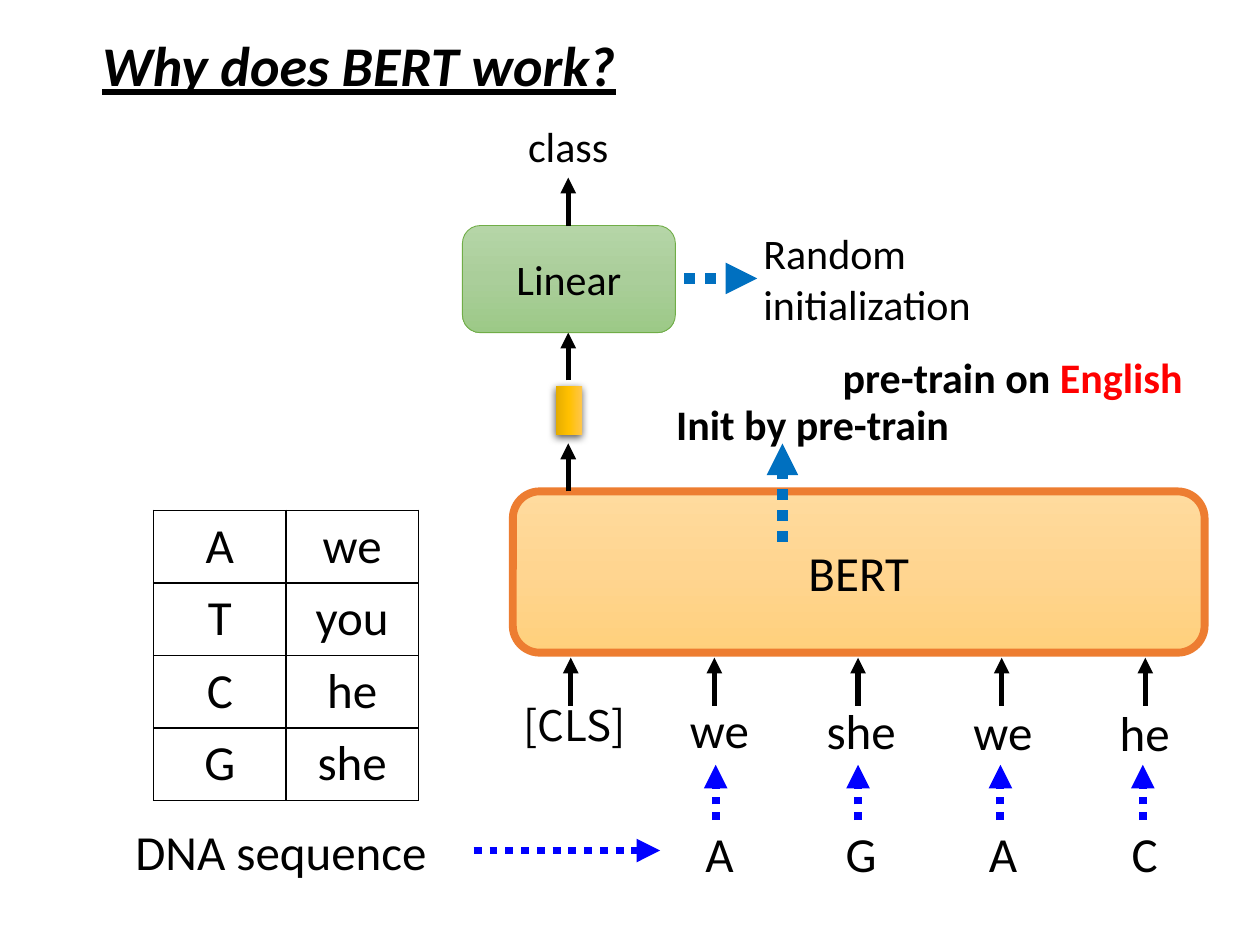
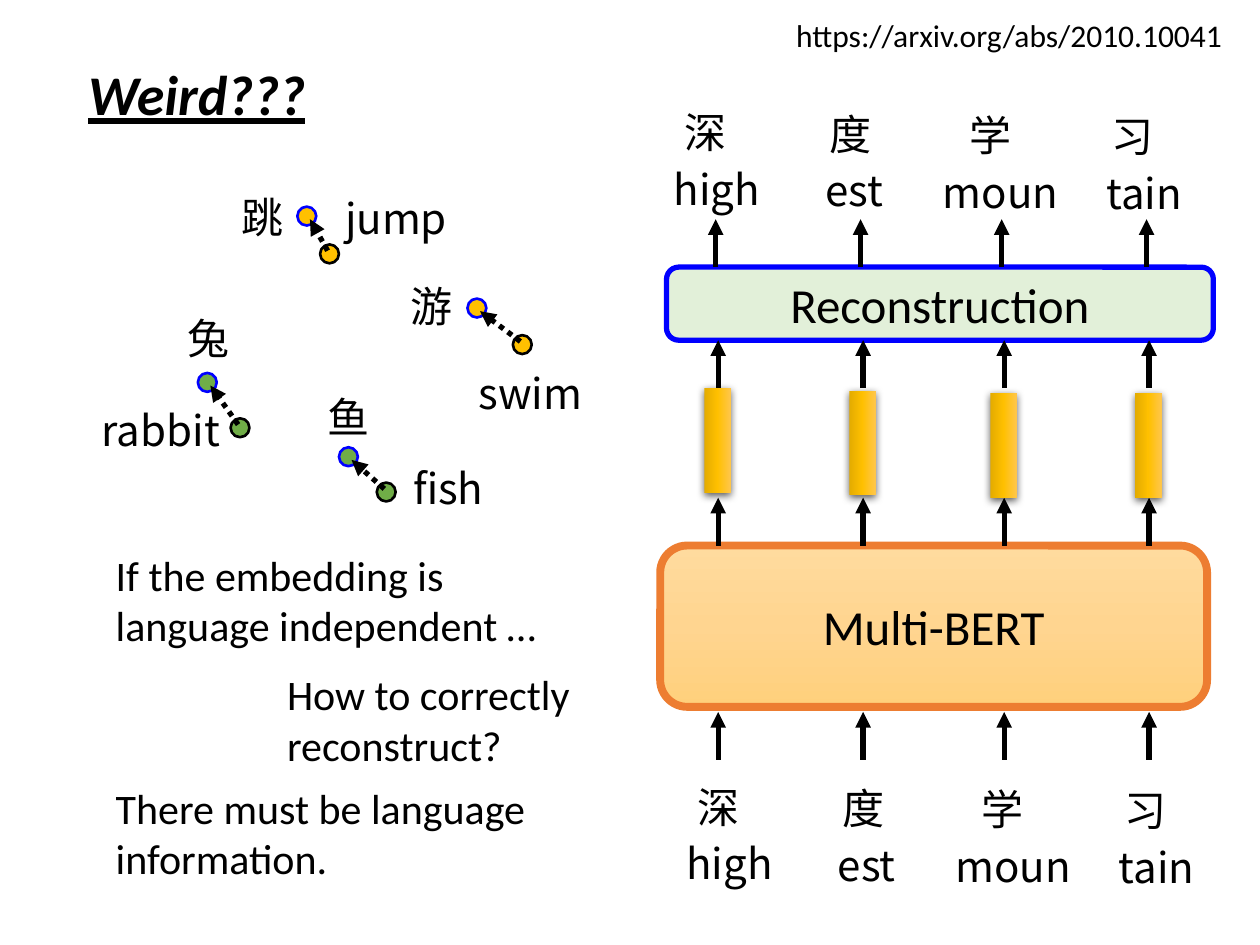
from copy import deepcopy

from lxml.etree import SubElement
from pptx import Presentation
from pptx.dml.color import RGBColor
from pptx.enum.dml import MSO_LINE
from pptx.enum.shapes import MSO_CONNECTOR, MSO_SHAPE
from pptx.enum.text import MSO_ANCHOR, MSO_AUTO_SIZE, PP_ALIGN
from pptx.oxml.ns import qn
from pptx.util import Inches, Pt

BLACK = RGBColor(0x00, 0x00, 0x00)
RED = RGBColor(0xFF, 0x00, 0x00)
BLUE = RGBColor(0x00, 0x00, 0xFF)
SKY = RGBColor(0x00, 0x70, 0xC0)
GREEN = RGBColor(0x70, 0xAD, 0x47)
PALE = RGBColor(0xE2, 0xF0, 0xD9)
GOLD = RGBColor(0xFF, 0xC0, 0x00)
ORANGE = RGBColor(0xED, 0x7D, 0x31)
PEACH = [RGBColor.from_string(c) for c in ("FFDB9E", "FFD590", "FFD07C")]
LEAF = [RGBColor.from_string(c) for c in ("B5D5A7", "AACE9A", "9CC987")]
AMBER = [RGBColor.from_string(c) for c in ("E3AB00", "FFC000", "FFC64B")]

SANS = "Calibri"
CJK = "Noto Sans CJK TC"
STEPS = (0, 1.15, 2.27, 3.42)
CODE = (("A", "we"), ("T", "you"), ("C", "he"), ("G", "she"))
PARTS = (
    ("深", 0, "high", 0.09),
    ("度", 1.15, "est", 1.18),
    ("学", 2.26, "moun", 2.34),
    ("习", 3.39, "tain", 3.48),
)
WORDS = (
    ("跳", (1.12, 0.07), "jump", (1.94, 0.08), (1.66, 0.24), (1.84, 0.54), GOLD),
    ("游", (2.46, 0.78), "swim", (3.0, 1.47), (3.01, 0.97), (3.37, 1.26), GOLD),
    ("兔", (0.69, 1.03), "rabbit", (0.01, 1.76), (0.87, 1.56), (1.13, 1.92), GREEN),
    ("鱼", (1.8, 1.66), "fish", (2.48, 2.22), (1.99, 2.15), (2.29, 2.43), GREEN),
)


def write(frame, text, size=24, font=SANS, color=BLACK, bold=False,
          slant=False, under=False, align=PP_ALIGN.LEFT):
    """Append a formatted run to the first paragraph of a frame."""
    para = frame.paragraphs[0]
    para.alignment = align
    run = para.add_run()
    run.text = text
    face = run.font
    face.size, face.name, face.bold = Pt(size), font, bold
    face.italic, face.underline = slant, under
    face.color.rgb = color
    SubElement(run.font._element, qn("a:ea"), typeface=font)


def label(slide, text, x, y, width, height=0.5, **style):
    """Add a wrapped text box and return its frame."""
    box = slide.shapes.add_textbox(Inches(x), Inches(y), Inches(width), Inches(height))
    box.text_frame.word_wrap = True
    write(box.text_frame, text, **style)
    return box.text_frame


def center(slide, text, x, y, width=1.3, **style):
    """Add a label centred on x."""
    label(slide, text, x - width / 2, y, width, align=PP_ALIGN.CENTER, **style)


def head(deck, text, x, y, width):
    """Add a title-only slide with its title in place."""
    slide = deck.slides.add_slide(deck.slide_layouts[5])
    title = slide.shapes.title
    title.left, title.top = Inches(x), Inches(y)
    title.width, title.height = Inches(width), Inches(0.64)
    frame = title.text_frame
    frame.word_wrap = True
    frame.auto_size = MSO_AUTO_SIZE.NONE
    frame.vertical_anchor = MSO_ANCHOR.TOP
    write(frame, text, size=32, bold=True, slant=True, under=True)
    return slide


def blend(shape, colors, angle):
    """Fill a shape with a three-stop gradient."""
    shape.fill.gradient()
    shape.fill.gradient_angle = angle
    stops = shape.element.spPr.find(".//" + qn("a:gsLst"))
    stops.append(deepcopy(stops[0]))
    for stop, color, place in zip(shape.fill.gradient_stops, colors, (0, 0.5, 1)):
        stop.color.rgb = color
        stop.position = place


def block(slide, kind, x, y, width, height, fill, line=None, weight=1.5, angle=270):
    """Add a preset shape with a solid or gradient fill."""
    shape = slide.shapes.add_shape(
        kind, Inches(x), Inches(y), Inches(width), Inches(height))
    shape.shadow.inherit = False
    if isinstance(fill, list):
        blend(shape, fill, angle)
    else:
        shape.fill.solid()
        shape.fill.fore_color.rgb = fill
    if line is None:
        shape.line.fill.background()
    else:
        shape.line.color.rgb = line
        shape.line.width = Pt(weight)
    return shape


def panel(slide, text, x, y, width, height, fill, line, weight, size=28):
    """Add a rounded box with a centred name."""
    shape = block(slide, MSO_SHAPE.ROUNDED_RECTANGLE, x, y, width, height,
                  fill, line, weight)
    shape.text_frame.vertical_anchor = MSO_ANCHOR.MIDDLE
    write(shape.text_frame, text, size=size, align=PP_ALIGN.CENTER)


def bar(slide, mid, y, height):
    """Add an upright vector bar with a soft shadow."""
    shape = block(slide, MSO_SHAPE.RECTANGLE, mid - 0.1, y, 0.21, height,
                  AMBER, angle=0)
    effects = shape.element.spPr.find(qn("a:effectLst"))
    shade = SubElement(effects, qn("a:outerShdw"), blurRad=str(Pt(4.5)),
                       dist=str(Pt(1.5)), dir="5400000", algn="ctr", rotWithShape="0")
    tint = SubElement(shade, qn("a:srgbClr"), val="000000")
    SubElement(tint, qn("a:alpha"), val="63000")


def arrow(slide, x, y, tox, toy, color=BLACK, weight=3, dots=False):
    """Add a straight arrow that ends at tox, toy."""
    link = slide.shapes.add_connector(
        MSO_CONNECTOR.STRAIGHT, Inches(x), Inches(y), Inches(tox), Inches(toy))
    link.line.color.rgb = color
    link.line.width = Pt(weight)
    if dots:
        link.line.dash_style = MSO_LINE.ROUND_DOT
    props = link.element.spPr
    SubElement(props.find(qn("a:ln")), qn("a:tailEnd"), type="triangle")
    SubElement(props, qn("a:effectLst"))


def rise(slide, x, y, length=0.38, **style):
    """Add an arrow that points straight up."""
    arrow(slide, x, y, x, y - length, **style)


def frame(cell):
    """Give a cell thin black borders and no fill."""
    props = cell._tc.get_or_add_tcPr()
    for side in ("L", "R", "T", "B"):
        line = SubElement(props, qn("a:ln" + side), w=str(Pt(1)))
        fill = SubElement(line, qn("a:solidFill"))
        SubElement(fill, qn("a:srgbClr"), val="000000")
    cell.fill.background()


def table(slide, x, y, width, row):
    """Add the table from base to word."""
    grid = slide.shapes.add_table(
        len(CODE), 2, Inches(x), Inches(y), Inches(width),
        Inches(row * len(CODE))).table
    grid.first_row = grid.horz_banding = False
    for r, pair in enumerate(CODE):
        for c, text in enumerate(pair):
            cell = grid.cell(r, c)
            frame(cell)
            write(cell.text_frame, text, size=28, align=PP_ALIGN.CENTER)


def model(slide, x, y):
    """Draw the stack from encoder to class."""
    mid = x + 0.44
    panel(slide, "BERT", x, y, 5.49, 1.28, PEACH, ORANGE, 4.5)
    rise(slide, mid, y)
    bar(slide, mid, y - 0.84, 0.39)
    rise(slide, mid, y - 0.88)
    panel(slide, "Linear", x - 0.4, y - 2.11, 1.69, 0.85, LEAF, GREEN, 0.5, size=24)
    rise(slide, mid, y - 2.11)
    center(slide, "class", mid, y - 2.99)
    label(slide, "Random initialization", x + 1.89, y - 2.14, 2.09, 0.91)
    center(slide, "Init by pre-train", x + 2.38, y - 0.79, 2.78, bold=True)
    note = label(slide, "pre-train on ", x + 2.52, y - 1.16, 3.3, bold=True)
    write(note, "English", color=RED, bold=True)
    arrow(slide, x + 1.36, y - 1.69, x + 1.94, y - 1.69, SKY, 6, True)
    rise(slide, x + 2.14, y + 0.4, 0.78, color=SKY, weight=6, dots=True)


def feed(slide, x, y):
    """Draw the bases, their words and the arrows between them."""
    center(slide, "[CLS]", x + 0.03, y, font=CJK)
    for i in range(5):
        rise(slide, x + 1.14 * i, y + 0.1)
    words = dict(CODE)
    for i, base in enumerate("AGAC"):
        mid = x + 1.18 + 1.125 * i
        center(slide, words[base], mid, y + 0.01 * i, 0.93, size=28)
        center(slide, base, mid, y + 0.99, 0.93, size=28)
        rise(slide, x + 1.15 + 1.13 * i, y + 1.01, 0.44,
             color=BLUE, weight=4.5, dots=True)
    center(slide, "DNA sequence", x - 2.3, y + 0.97, 3.67, size=28)
    arrow(slide, x - 0.77, y + 1.25, x + 0.71, y + 1.25, BLUE, 4.5, True)


def cloud(slide, x, y):
    """Draw word pairs as dots joined by dotted arrows."""
    for sign, spot, word, place, new, old, color in WORDS:
        label(slide, sign, x + spot[0], y + spot[1], 1.08, font=CJK)
        label(slide, word, x + place[0], y + place[1], 1.28, font=CJK)
        for dot, line in ((new, BLUE), (old, BLACK)):
            block(slide, MSO_SHAPE.OVAL, x + dot[0], y + dot[1], 0.15, 0.15, color, line)
        arrow(slide, x + old[0] + 0.06, y + old[1] + 0.05,
              x + new[0] + 0.1, y + new[1] + 0.1, dots=True)


def tokens(slide, x, y):
    """Write a row of signs over a row of word parts."""
    for i, (sign, left, part, right) in enumerate(PARTS):
        center(slide, sign, x + left, y + 0.01 * i, font=CJK)
        center(slide, part, x + right, y + 0.45 + 0.01 * i, font=CJK)


def rebuild(slide, x, y):
    """Draw the stack from tokens up to rebuilt tokens."""
    tokens(slide, x + 0.36, y)
    panel(slide, "Reconstruction", x + 0.05, y + 1.32, 4.34, 0.58, PALE, BLUE, 3)
    panel(slide, "Multi-BERT", x, y + 3.53, 4.34, 1.28, PEACH, ORANGE, 4.5)
    for step, drop in zip(STEPS, (0, 0.02, 0.04, 0.04)):
        mid = x + 0.46 + step
        rise(slide, mid - 0.02, y + 1.32)
        for base in (2.28, 3.53, 5.23):
            rise(slide, mid, y + base)
        bar(slide, mid - 0.01, y + 2.28 + drop, 0.83)
    tokens(slide, x + 0.46, y + 5.35)


def remarks(slide, x, y):
    """Write the three remarks."""
    label(slide, "If the embedding is language independent …", x, y, 3.97, 0.91)
    label(slide, "How to correctly reconstruct?", x + 1.36, y + 0.95, 2.61, 0.91)
    label(slide, "There must be language information.", x, y + 1.85, 3.97, 0.91)


def main():
    """Build both slides and save them."""
    deck = Presentation()
    deck.slide_width, deck.slide_height = Inches(10), Inches(7.5)

    why = head(deck, "Why does BERT work?", 0.71, 0.19, 4.28)
    table(why, 1.22, 4.05, 2.1, 0.57)
    model(why, 4.07, 3.9)
    feed(why, 4.53, 5.5)

    weird = head(deck, "Weird???", 0.6, 0.42, 3.89)
    cloud(weird, 0.7, 1.4)
    rebuild(weird, 5.24, 0.8)
    remarks(weird, 0.82, 4.31)
    label(weird, "https://arxiv.org/abs/2010.10041", 6.22, 0.08, 3.68, 0.4, size=18)
    deck.save("out.pptx")


if __name__ == "__main__":
    main()
